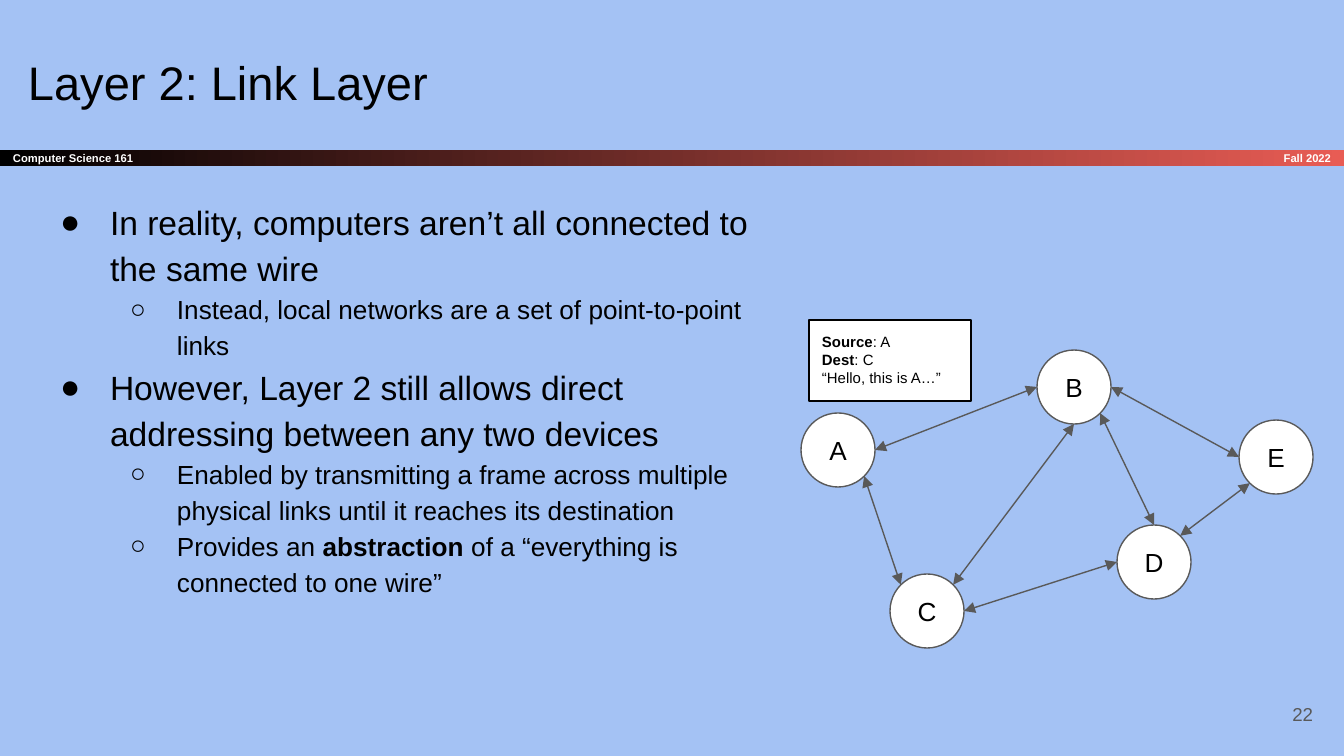
from dataclasses import dataclass
from math import cos, radians, sin
from typing import Any

from lxml.etree import SubElement
from pptx import Presentation
from pptx.dml.color import RGBColor
from pptx.enum.shapes import MSO_CONNECTOR as Link, MSO_SHAPE as Shape
from pptx.enum.text import MSO_ANCHOR as Anchor, PP_ALIGN as Align
from pptx.oxml.ns import qn
from pptx.util import Emu, Pt

RADIUS = 37
NODES = {"A": (838, 450), "B": (1074, 387), "C": (927, 611), "D": (1154, 562), "E": (1276, 457)}
EDGES = [
    ("A", 0, "B", 180),
    ("A", 45, "C", 225),
    ("C", 0, "D", 180),
    ("B", 90, "C", 315),
    ("B", 45, "D", 270),
    ("B", 0, "E", 180),
    ("D", 315, "E", 135),
]
BULLETS = [
    (0, "In reality, computers aren’t all connected to the same wire"),
    (1, "Instead, local networks are a set of point-to-point links"),
    (0, "However, Layer 2 still allows direct addressing between any two devices"),
    (1, "Enabled by transmitting a frame across multiple physical links until it reaches its destination"),
    (1, "Provides an *abstraction* of a “everything is connected to one wire”"),
]
LEVELS = [("●", 18, 67, 50), ("○", 14, 134, 47)]


def px(length):
    return Emu(round(length * 914400 / 134.4))


def color(code):
    return RGBColor.from_string(code)


def rim_point(name, angle):
    x, y = NODES[name]
    return x + RADIUS * cos(radians(angle)), y + RADIUS * sin(radians(angle))


@dataclass
class Painter:
    """Draws styled elements on the current slide."""

    slide: Any
    font: str = "Arial"
    ink: str = "000000"
    paper: str = "FFFFFF"
    gray: str = "595959"

    def background(self, code):
        fill = self.slide.background.fill
        fill.solid()
        fill.fore_color.rgb = color(code)

    def label(self, shape, lines, size, code=None, align=Align.LEFT, anchor=Anchor.TOP, bold=False):
        frame = shape.text_frame
        frame.word_wrap = True
        frame.vertical_anchor = anchor
        frame.margin_left = frame.margin_right = frame.margin_top = frame.margin_bottom = px(13)
        frame.text = "\n".join(lines)
        for para, line in zip(frame.paragraphs, lines):
            para.alignment = align
            para.text = ""
            for index, part in enumerate(line.split("*")):
                span = para.add_run()
                span.text = part
                font = span.font
                font.name, font.size = self.font, Pt(size)
                font.bold = bold or index % 2 == 1
                font.color.rgb = color(code or self.ink)
        return frame

    def text(self, area, lines, size, **style):
        box = self.slide.shapes.add_textbox(*map(px, area))
        return self.label(box, lines, size, **style)

    def shape(self, kind, area, lines, size, line, **style):
        shape = self.slide.shapes.add_shape(kind, *map(px, area))
        shape.shadow.inherit = False
        shape.fill.solid()
        shape.fill.fore_color.rgb = color(self.paper)
        shape.line.color.rgb = color(line)
        shape.line.width = Pt(0.75)
        self.label(shape, lines, size, **style)

    def banner(self, area, title, colors):
        bar = self.slide.shapes.add_shape(Shape.RECTANGLE, *map(px, area))
        bar.shadow.inherit = False
        bar.line.fill.background()
        bar.fill.gradient()
        bar.fill.gradient_angle = 0
        for stop, code in zip(bar.fill.gradient_stops, colors):
            stop.color.rgb = color(code)
        self.label(bar, [title], 6, code=self.paper, anchor=Anchor.MIDDLE, bold=True)

    def bullets(self, area, items):
        frame = self.text(area, [line for _, line in items], 18)
        for para, (level, _) in zip(frame.paragraphs, items):
            mark, size, margin, hanging = LEVELS[level]
            para.level = level
            para.line_spacing = 1.15
            for span in para.runs:
                span.font.size = Pt(size)
            props = para._p.get_or_add_pPr()
            props.set("marL", str(px(margin)))
            props.set("indent", str(-px(hanging)))
            SubElement(props, qn("a:buFont"), typeface=self.font)
            SubElement(props, qn("a:buChar"), char=mark)

    def node(self, name, x, y):
        area = (x - RADIUS, y - RADIUS, 2 * RADIUS, 2 * RADIUS)
        self.shape(Shape.OVAL, area, [name], 14, self.gray, align=Align.CENTER, anchor=Anchor.MIDDLE)

    def arrow(self, start, end):
        link = self.slide.shapes.add_connector(Link.STRAIGHT, *map(px, (*start, *end)))
        link.line.color.rgb = color(self.gray)
        link.line.width = Pt(0.75)
        line = link.line._get_or_add_ln()
        for tip in ("a:headEnd", "a:tailEnd"):
            SubElement(line, qn(tip), type="triangle")
        SubElement(link._element.spPr, qn("a:effectLst"))


def main():
    deck = Presentation()
    deck.slide_width, deck.slide_height = px(1344), px(756)
    page = Painter(deck.slides.add_slide(deck.slide_layouts[6]))
    page.background("A4C2F4")
    page.banner((0, 150, 1344, 16), "Computer Science 161", ("000000", "E85C54"))
    page.text((1121, 150, 223, 16), ["Fall 2022"], 6, code=page.paper,
              align=Align.RIGHT, anchor=Anchor.MIDDLE, bold=True)
    page.text((15, 40, 1253, 85), ["Layer 2: Link Layer"], 25.2)
    page.bullets((30, 183, 755, 554), BULLETS)
    page.shape(Shape.RECTANGLE, (809, 320, 162, 81),
               ["*Source*: A", "*Dest*: C", "“Hello, this is A…”"], 8, page.ink)
    for name, (x, y) in NODES.items():
        page.node(name, x, y)
    for source, leaving, target, arriving in EDGES:
        page.arrow(rim_point(source, leaving), rim_point(target, arriving))
    page.text((1246, 685, 80, 58), ["22"], 10, code=page.gray,
              align=Align.RIGHT, anchor=Anchor.MIDDLE)
    deck.save("out.pptx")


if __name__ == "__main__":
    main()
